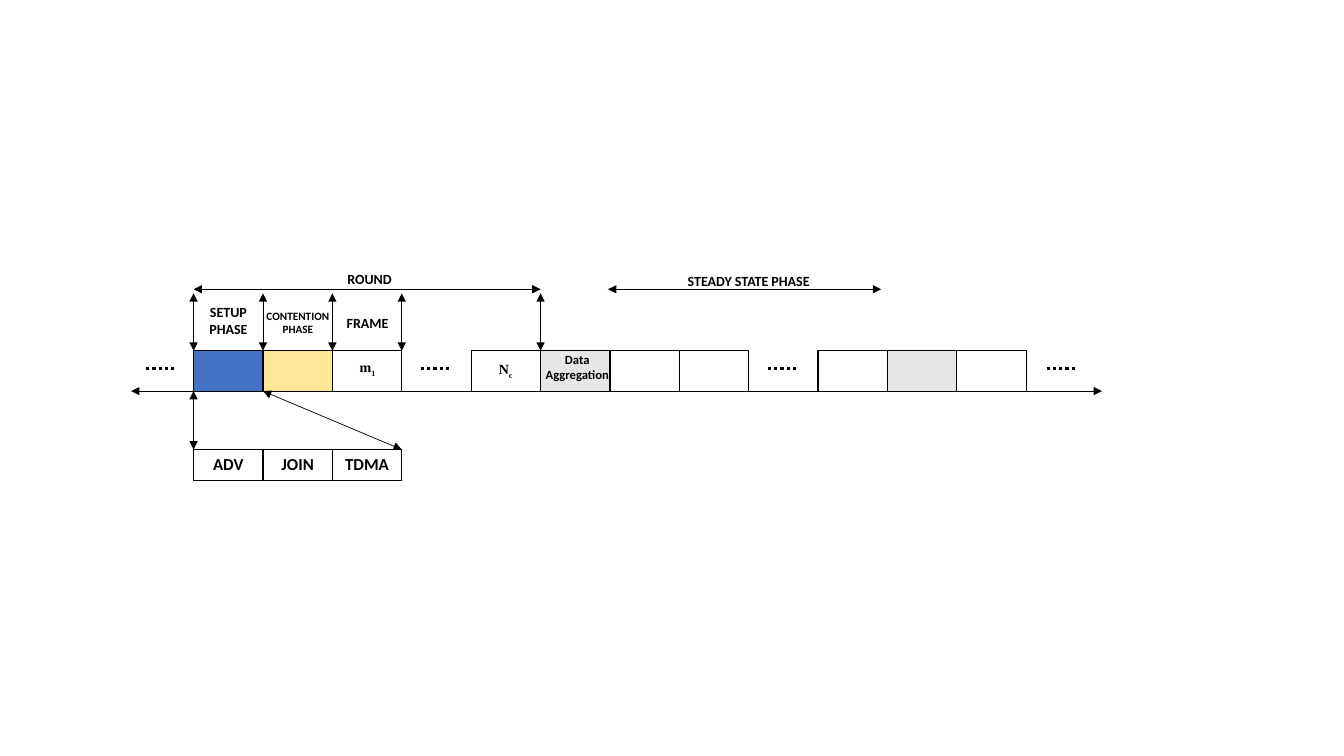
from lxml import etree
from pptx import Presentation, util as u
from pptx.dml.color import RGBColor
from pptx.enum import dml, shapes, text
from pptx.oxml import ns

BLACK = RGBColor(0x00, 0x00, 0x00)
WHITE = RGBColor(0xFF, 0xFF, 0xFF)
BLUE = RGBColor(0x44, 0x72, 0xC4)
YELLOW = RGBColor(0xFF, 0xE6, 0x99)
GREY = RGBColor(0xE7, 0xE6, 0xE6)
SANS, SERIF = "Calibri", "Times New Roman"

# Timeline grid, in inches
LEFT, SLOT = 1.92, 8.26 / 12
FRAME_TOP, AXIS_Y, SETUP_TOP = 3.48, 3.88, 4.46
SPAN_Y, MARK_Y, DOTS_Y = 2.87, 2.91, 3.66
GAPS = (3, 8)


def slot_x(n):
    return LEFT + n * SLOT


class Diagram:
    def __init__(self, slide):
        self.s = slide

    def line(self, x1, y1, x2, y2, width=0.5, dotted=False):
        """A double-headed arrow, or a plain dotted line."""
        c = self.s.shapes.add_connector(
            shapes.MSO_CONNECTOR.STRAIGHT,
            *(u.Inches(v) for v in (x1, y1, x2, y2)))
        c.line.color.rgb = BLACK
        c.line.width = u.Pt(width)
        if dotted:
            c.line.dash_style = dml.MSO_LINE.ROUND_DOT
        else:
            ln = c.line._get_or_add_ln()
            for end in ("a:headEnd", "a:tailEnd"):
                etree.SubElement(ln, ns.qn(end), type="triangle")
        etree.SubElement(c._element.spPr, ns.qn("a:effectLst"))

    def run(self, p, words, size, font=SANS, subscript=False):
        r = p.add_run()
        r.text = words
        r.font.size, r.font.name, r.font.bold = u.Pt(size), font, True
        r.font.color.rgb = BLACK
        if subscript:
            r._r.get_or_add_rPr().set("baseline", "-25000")

    def label(self, x, y, w, h, lines, size=10, font=SANS, sub=None):
        tb = self.s.shapes.add_textbox(*(u.Inches(v) for v in (x, y, w, h)))
        tf = tb.text_frame
        tf.word_wrap = True
        tf.auto_size = text.MSO_AUTO_SIZE.SHAPE_TO_FIT_TEXT
        for i, words in enumerate(lines):
            p = tf.add_paragraph() if i else tf.paragraphs[0]
            p.alignment = text.PP_ALIGN.CENTER
            self.run(p, words, size, font)
            if sub:
                self.run(p, sub, size, font, subscript=True)

    def border(self, cell, side, color):
        ln = etree.SubElement(cell._tc.get_or_add_tcPr(), ns.qn("a:ln" + side),
                              w=str(u.Pt(1)))
        fill = etree.SubElement(ln, ns.qn("a:solidFill"))
        etree.SubElement(fill, ns.qn("a:srgbClr"), val=str(color))

    def strip(self, y, height, fills, words=(), open_top=()):
        """A one-row table on the slot grid."""
        n = len(fills)
        table = self.s.shapes.add_table(
            1, n, u.Inches(LEFT), u.Inches(y),
            u.Inches(n * SLOT), u.Inches(height)).table
        table.first_row = table.horz_banding = False
        for i, color in enumerate(fills):
            table.columns[i].width = u.Inches(SLOT)
            cell = table.cell(0, i)
            for side in "LRTB":
                is_open = side == "T" and i in open_top
                self.border(cell, side, WHITE if is_open else BLACK)
            cell.fill.solid()
            cell.fill.fore_color.rgb = color
            if words:
                p = cell.text_frame.paragraphs[0]
                p.alignment = text.PP_ALIGN.CENTER
                self.run(p, words[i], 12)


prs = Presentation()
prs.slide_width, prs.slide_height = u.Inches(13.33), u.Inches(7.5)
d = Diagram(prs.slides.add_slide(prs.slide_layouts[6]))

# Frames on the time axis
frames = [BLUE, YELLOW] + [WHITE] * 10
frames[5] = frames[10] = GREY
d.strip(FRAME_TOP, 0.4, frames, open_top=GAPS)
d.line(1.3, AXIS_Y, 10.93, AXIS_Y, width=0.75)
for x in (1.45, *(slot_x(n) + 0.19 for n in GAPS), 10.38):
    d.line(x, DOTS_Y, x + 0.31, DOTS_Y, width=2.25, dotted=True)

# Setup phase detail
d.line(LEFT, AXIS_Y, LEFT, SETUP_TOP)
d.line(slot_x(1), AXIS_Y, slot_x(3), SETUP_TOP)
d.strip(SETUP_TOP, 0.3, [WHITE] * 3, ("ADV", "JOIN", "TDMA"))

# Phase boundaries and spans
for n in (0, 1, 2, 3, 5):
    d.line(slot_x(n), MARK_Y, slot_x(n), FRAME_TOP)
d.line(LEFT, SPAN_Y, slot_x(5), SPAN_Y)
d.line(6.03, SPAN_Y, 8.74, SPAN_Y)

# Labels
d.label(3.02, 2.63, 1.29, 0.27, ["ROUND"])
d.label(6.68, 2.65, 1.49, 0.27, ["STEADY STATE PHASE"])
d.label(1.82, 2.96, 0.89, 0.44, ["SETUP", "PHASE"])
d.label(2.51, 3.02, 0.89, 0.37, ["CONTENTION", "PHASE"], size=8)
d.label(3.2, 3.07, 0.89, 0.27, ["FRAME"])
d.label(3.2, 3.51, 0.89, 0.27, ["m"], font=SERIF, sub="1")
d.label(4.57, 3.53, 0.89, 0.27, ["N"], font=SERIF, sub="c")
d.label(5.28, 3.44, 0.89, 0.4, ["Data Aggregation"], size=9)

prs.save("out.pptx")
